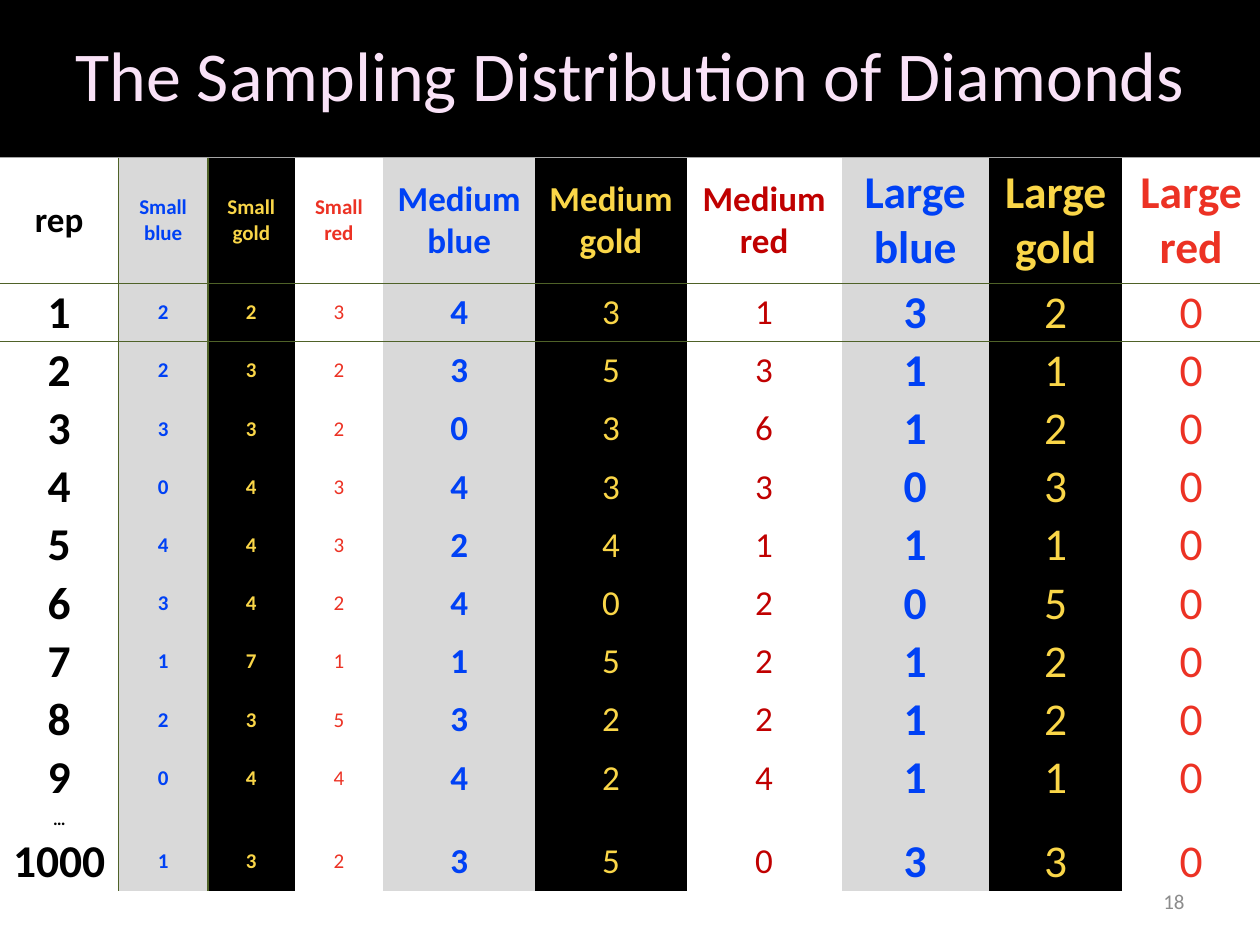
from dataclasses import dataclass

from lxml import etree
from pptx import Presentation
from pptx.dml.color import RGBColor
from pptx.enum.text import MSO_ANCHOR, PP_ALIGN
from pptx.oxml.ns import qn
from pptx.util import Inches, Pt

MIDDLE = MSO_ANCHOR.MIDDLE
CENTER, RIGHT = PP_ALIGN.CENTER, PP_ALIGN.RIGHT
PLAIN_TABLE_STYLE = "{2D5ABB26-0587-4C30-8999-92F81FD0307C}"


@dataclass(frozen=True)
class Theme:
    font: str = "Calibri"
    black: str = "000000"
    white: str = "FFFFFF"
    silver: str = "D9D9D9"
    blue: str = "0041F5"
    gold: str = "FAD648"
    red: str = "EC3224"
    dark_red: str = "C00000"
    rule: str = "4F6228"
    title_color: str = "F9E2F7"
    number_color: str = "8C8C8C"
    title: int = 40
    large: int = 26
    medium: int = 20
    small: int = 12
    tiny: int = 10


THEME = Theme()


@dataclass(frozen=True)
class Column:
    heading: str
    width: float
    size: int
    color: str
    fill: str | None = None
    bold: bool = False


COLUMNS = [
    Column("rep", 0.94, THEME.large, THEME.black, bold=True),
    Column("Small\nblue", 0.71, THEME.small, THEME.blue, THEME.silver, True),
    Column("Small\ngold", 0.69, THEME.small, THEME.gold, THEME.black, True),
    Column("Small\nred", 0.7, THEME.small, THEME.red),
    Column("Medium blue", 1.21, THEME.medium, THEME.blue, THEME.silver, True),
    Column("Medium gold", 1.2, THEME.medium, THEME.gold, THEME.black),
    Column("Medium red", 1.23, THEME.medium, THEME.dark_red, THEME.white),
    Column("Large blue", 1.17, THEME.large, THEME.blue, THEME.silver, True),
    Column("Large gold", 1.06, THEME.large, THEME.gold, THEME.black),
    Column("Large red", 1.09, THEME.large, THEME.red),
]

# Counts follow the column order after "rep".
SAMPLES = [
    ("1", "223431320"),
    ("2", "232353110"),
    ("3", "332036120"),
    ("4", "043433030"),
    ("5", "443241110"),
    ("6", "342402050"),
    ("7", "171152120"),
    ("8", "235322120"),
    ("9", "044424110"),
    ("…", [""] * 9),
    ("1000", "132350330"),
]
HEADER_HEIGHT, GAP_HEIGHT = 1, 0.2
ROW_HEIGHT = (5.75 - HEADER_HEIGHT - GAP_HEIGHT) / (len(SAMPLES) - 1)


class SlideBuilder:
    def __init__(self, slide, theme):
        self.slide, self.theme = slide, theme

    def set_text(self, frame, text, size, color, bold=False, align=CENTER, spacing=None):
        frame.text = text
        for paragraph in frame.paragraphs:
            paragraph.alignment = align
            paragraph.line_spacing = spacing
            for run in paragraph.runs:
                values = {"name": self.theme.font, "size": Pt(size), "bold": bold}
                for name, value in values.items():
                    setattr(run.font, name, value)
                run.font.color.rgb = RGBColor.from_string(color)
            if not paragraph.runs:
                # Keeps an empty cell from stretching its row.
                etree.SubElement(paragraph._p, qn("a:endParaRPr"), sz=str(size * 100))

    def title(self, text, left, top, width, height):
        band = self.slide.shapes.title
        place = {"left": left, "top": top, "width": width, "height": height}
        for name, value in place.items():
            setattr(band, name, Inches(value))
        band.fill.solid()
        band.fill.fore_color.rgb = RGBColor.from_string(self.theme.black)
        frame = band.text_frame
        frame.vertical_anchor = MIDDLE
        frame.margin_top = frame.margin_bottom = Inches(0.15)
        self.set_text(frame, text, self.theme.title, self.theme.title_color, spacing=0.9)

    def page_number(self, text, left, top, width, height):
        box = self.slide.shapes.add_textbox(*map(Inches, (left, top, width, height)))
        box.text_frame.word_wrap = True
        box.text_frame.vertical_anchor = MIDDLE
        self.set_text(box.text_frame, text, self.theme.small, self.theme.number_color,
                      align=RIGHT)

    def border(self, cell, side):
        line = etree.SubElement(cell._tc.get_or_add_tcPr(), qn(f"a:ln{side}"), w=str(Pt(1)))
        fill = etree.SubElement(line, qn("a:solidFill"))
        etree.SubElement(fill, qn("a:srgbClr"), val=self.theme.rule)

    def cell(self, cell, text, column, size, bold, sides, inset):
        cell.vertical_anchor = MIDDLE
        cell.margin_left = cell.margin_right = Inches(0.01)
        cell.margin_top = cell.margin_bottom = Inches(inset)
        self.set_text(cell.text_frame, text, size, column.color, bold)
        for side in sides:
            self.border(cell, side)
        if column.fill:
            cell.fill.solid()
            cell.fill.fore_color.rgb = RGBColor.from_string(column.fill)
        else:
            cell.fill.background()

    def table(self, columns, samples, left, top):
        rows = [[column.heading for column in columns]]
        rows += [[rep, *counts] for rep, counts in samples]
        heights = [HEADER_HEIGHT] + [
            GAP_HEIGHT if rep == "…" else ROW_HEIGHT for rep, _ in samples
        ]
        widths = [column.width for column in columns]
        table = self.slide.shapes.add_table(
            len(rows), len(columns),
            *map(Inches, (left, top, sum(widths), sum(heights))),
        ).table
        table.first_row = table.horz_banding = False
        table._tbl.tblPr.find(qn("a:tableStyleId")).text = PLAIN_TABLE_STYLE
        for table_column, width in zip(table.columns, widths):
            table_column.width = Inches(width)
        for r, (values, height) in enumerate(zip(rows, heights)):
            table.rows[r].height = Inches(height)
            is_gap = height == GAP_HEIGHT
            for c, (text, column) in enumerate(zip(values, columns)):
                size = self.theme.tiny if is_gap else column.size
                if r == c == 0:
                    size = self.theme.medium
                sides = {0: "R", 1: "L"}.get(c, "") + {0: "B", 1: "T"}.get(r, "")
                self.cell(table.cell(r, c), text, column, size, r == 0 or column.bold,
                          sides, 0 if is_gap else 0.01)


def main():
    deck = Presentation()
    deck.slide_width, deck.slide_height = Inches(10), Inches(7.5)
    builder = SlideBuilder(deck.slides.add_slide(deck.slide_layouts[5]), THEME)
    builder.title("The Sampling Distribution of Diamonds", 0, 0, 10, 1.25)
    builder.table(COLUMNS, SAMPLES, 0, 1.25)
    builder.page_number("18", 7.17, 6.95, 2.33, 0.4)
    deck.save("out.pptx")


if __name__ == "__main__":
    main()
